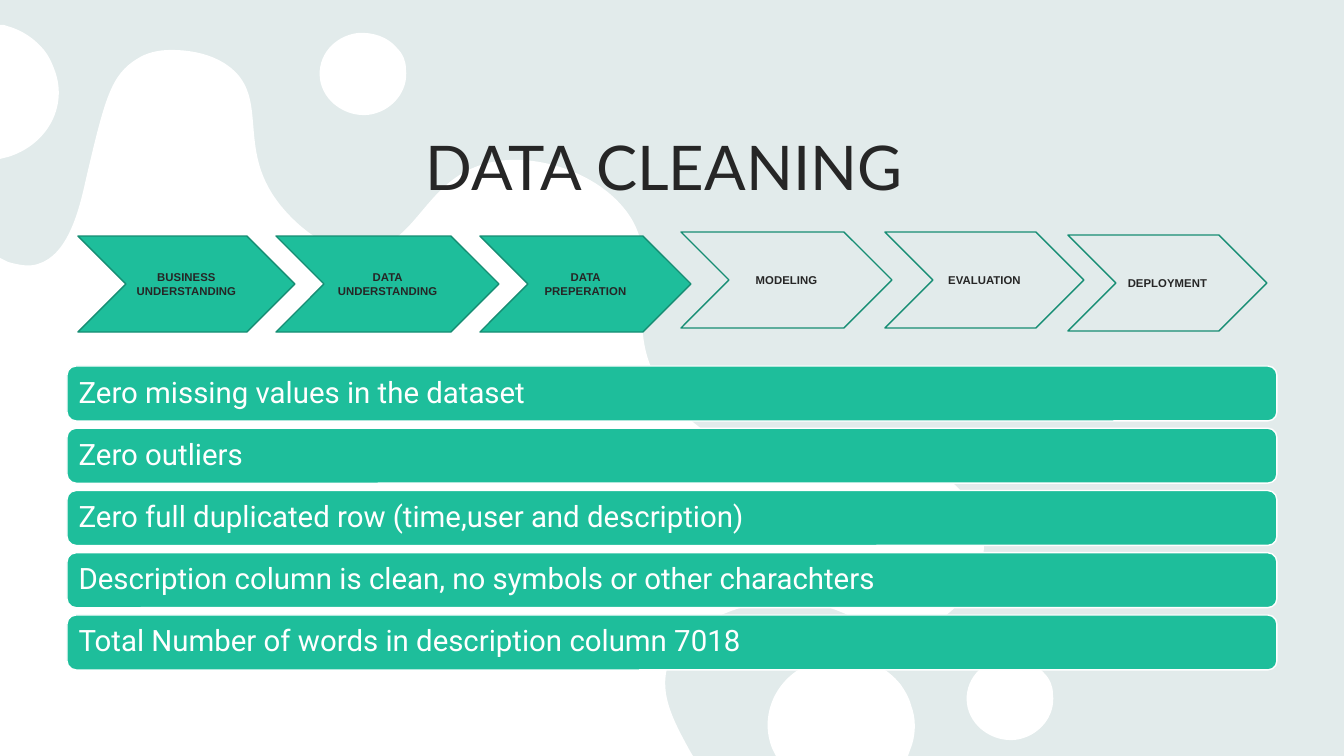
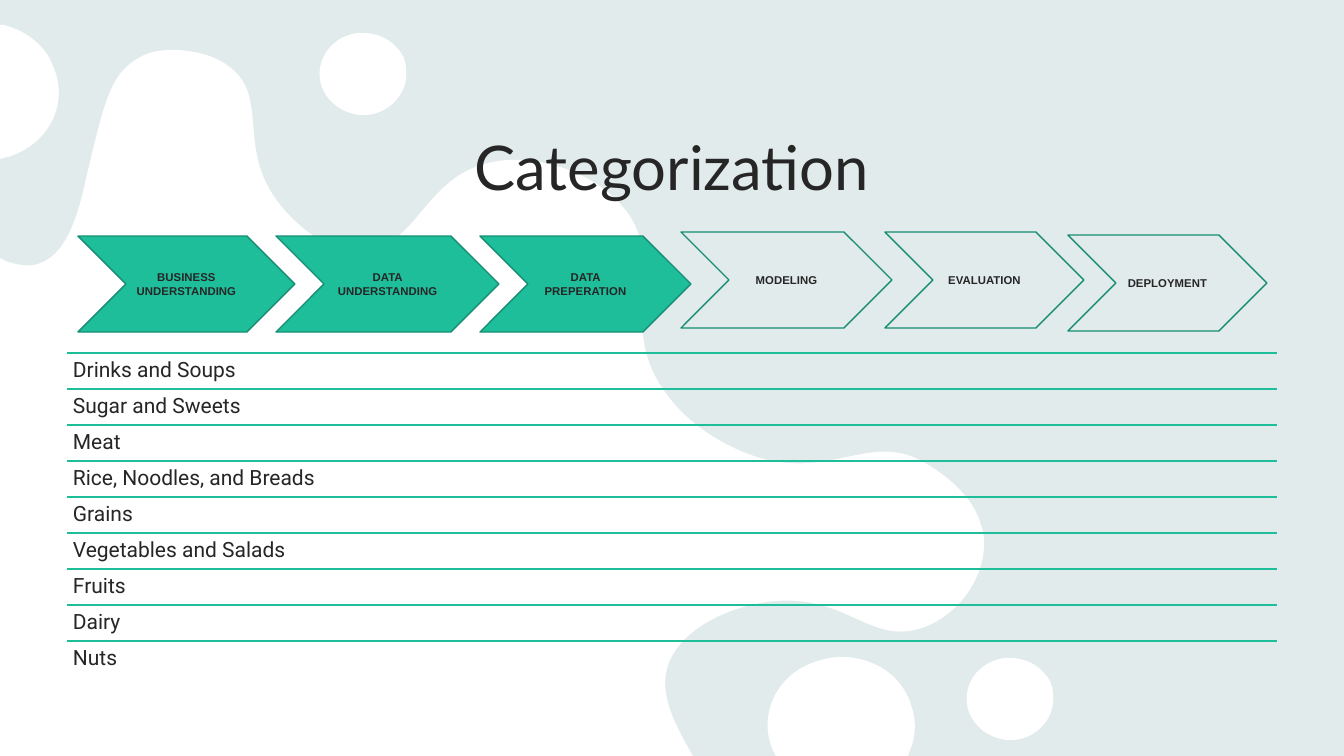
from dataclasses import dataclass
from itertools import chain

from lxml import etree
from pptx import Presentation
from pptx.dml.color import RGBColor
from pptx.enum.shapes import MSO_CONNECTOR, MSO_SHAPE
from pptx.enum.text import MSO_ANCHOR, MSO_AUTO_SIZE, PP_ALIGN
from pptx.oxml.ns import qn
from pptx.util import Pt

CHEVRON, ROUNDED = MSO_SHAPE.CHEVRON, MSO_SHAPE.ROUNDED_RECTANGLE
RECTANGLE, STRAIGHT = MSO_SHAPE.RECTANGLE, MSO_CONNECTOR.STRAIGHT
LEFT, CENTER = PP_ALIGN.LEFT, PP_ALIGN.CENTER
TOP, MIDDLE, BOTTOM = MSO_ANCHOR.TOP, MSO_ANCHOR.MIDDLE, MSO_ANCHOR.BOTTOM
TITLE_ONLY = 5

# Slide size in px and the scale to EMU
WIDTH, HEIGHT = 1344, 756
SCALE = 12192000 / WIDTH


@dataclass(frozen=True)
class Theme:
    backdrop: str = "E9F3F3"
    veil: str = "AEAEAE"
    veil_opacity: int = 10
    white: str = "FFFFFF"
    accent: str = "1EBE9B"
    outline: str = "168D73"
    ink: str = "262626"
    title_font: str = "Lato"
    body_font: str = "Roboto"
    step_font: str = "Arial"
    title_size: float = 44
    bar_size: float = 21
    row_size: float = 15
    step_size: float = 8.1
    line_width: float = 1


THEME = Theme()

# Regions: left, top, width, height
TITLE_BOX = (67, 61, 1210, 147)
STEPS_BOX = (78, 232, 1188, 100)
BARS_BOX = (67, 366, 1210, 304)
ROWS_BOX = (67, 353, 1210, 324)

# Process steps: label, offset in the strip, width, done
STEP_HEIGHT = 96
STEPS = [
    ("BUSINESS UNDERSTANDING", 0, 4, 217, True),
    ("DATA UNDERSTANDING", 198, 4, 223, True),
    ("DATA PREPERATION", 402, 4, 211, True),
    ("MODELING", 603, 0, 211, False),
    ("EVALUATION", 807, 0, 199, False),
    ("DEPLOYMENT", 990, 3, 199, False),
]

FINDINGS = [
    "Zero missing values in the dataset",
    "Zero outliers",
    "Zero full duplicated row (time,user and description)",
    "Description column is clean, no symbols or other charachters",
    "Total Number of words in description column 7018",
]

CATEGORIES = [
    "Drinks and Soups", "Sugar and Sweets", "Meat",
    "Rice, Noodles, and Breads", "Grains", "Vegetables and Salads",
    "Fruits", "Dairy", "Nuts",
]

# Outlines: a start, then segments of one point (line) or three (curve)
WAVE = ((171, 50), [
    ((193, 50), (215, 55), (231, 68)),
    ((269, 99), (237, 148), (278, 202)),
    ((283, 209), (319, 254), (362, 251)),
    ((418, 247), (423, 179), (488, 163)),
    ((533, 152), (593, 171), (623, 207)),
    ((670, 262), (615, 323), (665, 392)),
    ((700, 442), (759, 458), (764, 459)),
    ((834, 477), (873, 432), (925, 463)),
    ((935, 469), (971, 490), (981, 525)),
    ((983, 530), (984, 535), (984, 540)),
    ((986, 579), (956, 618), (919, 629)),
    ((870, 643), (846, 596), (777, 601)),
    ((742, 603), (689, 622), (671, 658)),
    ((656, 689), (673, 720), (690, 751)),
    ((693, HEIGHT),), ((0, HEIGHT),), ((0, 258),), ((8, 262),),
    ((19, 265), (29, 267), (38, 264)),
    ((68, 255), (79, 211), (86, 179)),
    ((105, 98), (111, 75), (137, 59)),
    ((146, 53), (158, 50), (171, 50)),
])
LEFT_DROP = ((0, 25), [
    ((4, 25),), ((7, 26),),
    ((22, 30), (35, 39), (44, 50)),
    ((49, 56), (52, 63), (55, 71)),
    ((68, 107), (47, 145), (8, 157)),
    ((0, 159),),
])
BOTTOM_DROP = ((842, 657), [
    ((865, 657), (887, 667), (901, 685)),
    ((905, 691), (909, 697), (911, 705)),
    ((916, 718), (916, 732), (912, 745)),
    ((908, HEIGHT),), ((776, HEIGHT),), ((772, 748),),
    ((758, 712), (779, 672), (818, 661)),
    ((827, 658), (834, 657), (842, 657)),
])
DROP_CURVES = [
    ((15, -1), (30, 4), (39, 15)),
    ((45, 21), (48, 28), (48, 36)),
    ((51, 58), (34, 79), (10, 82)),
    ((-13, 84), (-35, 68), (-38, 46)),
    ((-41, 23), (-24, 3), (0, 0)),
]
DROP_STARTS = [(1005, 658), (358, 33)]


def px(length):
    return round(length * SCALE)


def emu(*lengths):
    return [px(length) for length in lengths]


def rgb(code):
    return RGBColor.from_string(code)


def put_text(shape, text, *, font, size, color, bold=False, align=LEFT,
             anchor=MIDDLE, inset=(10, 5), spacing=1.0):
    frame = shape.text_frame
    frame.word_wrap = True
    frame.auto_size = MSO_AUTO_SIZE.NONE
    frame.vertical_anchor = anchor
    frame.margin_left = frame.margin_right = px(inset[0])
    frame.margin_top = frame.margin_bottom = px(inset[1])
    paragraph = frame.paragraphs[0]
    paragraph.alignment = align
    paragraph.line_spacing = spacing
    run = paragraph.add_run()
    run.text = text
    run.font.name, run.font.size = font, Pt(size)
    run.font.bold = bold
    run.font.color.rgb = rgb(color)


def paint(shape, fill=None, line=None):
    shape.shadow.inherit = False
    if fill:
        shape.fill.solid()
        shape.fill.fore_color.rgb = rgb(fill)
    else:
        shape.fill.background()
    if line:
        shape.line.color.rgb = rgb(line)
        shape.line.width = Pt(THEME.line_width)
    else:
        shape.line.fill.background()


def add_panel(slide, preset, box, fill=None, line=None):
    panel = slide.shapes.add_shape(preset, *emu(*box))
    paint(panel, fill, line)
    return panel


def drop_at(x, y):
    return (x, y), [tuple((x + dx, y + dy) for dx, dy in curve)
                    for curve in DROP_CURVES]


def bend(outline_shape, segments):
    """Turn each run of three lines that stands for a curve into one."""
    lines = iter(list(outline_shape.element.iter(qn("a:lnTo"))))
    for segment in segments:
        first, *others = [next(lines) for _ in segment]
        if others:
            first.tag = qn("a:cubicBezTo")
            for other in others:
                first.append(other[0])
                other.getparent().remove(other)


def add_waves(slide):
    outlines = [WAVE, LEFT_DROP, BOTTOM_DROP]
    outlines += [drop_at(*start) for start in DROP_STARTS]
    builder = slide.shapes.build_freeform(*emu(*WAVE[0]))
    for start, segments in outlines:
        if start != WAVE[0]:
            builder.move_to(*emu(*start))
        points = chain.from_iterable(segments)
        builder.add_line_segments([emu(*point) for point in points])
    waves = builder.convert_to_shape()
    bend(waves, [segment for _, segments in outlines for segment in segments])
    paint(waves, THEME.white)
    return waves


def add_backdrop(prs, layout, slide):
    """Draw the shared backdrop and move it into the layout."""
    ground = prs.slide_master.background.fill
    ground.solid()
    ground.fore_color.rgb = rgb(THEME.backdrop)
    veil = add_panel(slide, RECTANGLE, (0, 0, WIDTH, HEIGHT), THEME.veil)
    tint = veil.element.spPr.find(qn("a:solidFill"))[0]
    etree.SubElement(tint, qn("a:alpha"), val=str(THEME.veil_opacity * 1000))
    tree = layout.element.cSld.spTree
    for index, part in enumerate([veil, add_waves(slide)]):
        part.element.nvSpPr.cNvPr.id = 98 + index
        tree.insert(2 + index, part.element)


def add_title(slide, box, text):
    title = slide.shapes.title
    title.left, title.top, title.width, title.height = emu(*box)
    put_text(title, text, font=THEME.title_font, size=THEME.title_size,
             color=THEME.ink, align=CENTER, anchor=BOTTOM)


def add_steps(slide, box):
    left, top = box[:2]
    for label, dx, dy, width, done in STEPS:
        step = add_panel(slide, CHEVRON,
                         (left + dx, top + dy, width, STEP_HEIGHT),
                         THEME.accent if done else None, THEME.outline)
        put_text(step, label, font=THEME.step_font, size=THEME.step_size,
                 color=THEME.ink, bold=True, align=CENTER, inset=(4, 5))


def add_bars(slide, box, findings, bar_height=55):
    left, top, width, height = box
    pitch = (height - bar_height) / (len(findings) - 1)
    for index, finding in enumerate(findings):
        bar = add_panel(slide, ROUNDED,
                        (left, top + index * pitch, width, bar_height),
                        THEME.accent, THEME.white)
        put_text(bar, finding, font=THEME.body_font, size=THEME.bar_size,
                 color=THEME.white, inset=(9, 5), spacing=0.9)


def add_rows(slide, box, categories):
    left, top, width, height = box
    pitch = height / len(categories)
    for index, category in enumerate(categories):
        y = top + index * pitch
        rule = slide.shapes.add_connector(
            STRAIGHT, *emu(left, y, left + width, y))
        rule.line.color.rgb = rgb(THEME.accent)
        rule.line.width = Pt(THEME.line_width)
        etree.SubElement(rule.element.spPr, qn("a:effectLst"))
        row = slide.shapes.add_textbox(*emu(left, y, width, pitch))
        put_text(row, category, font=THEME.body_font, size=THEME.row_size,
                 color=THEME.ink, anchor=TOP, inset=(6, 6), spacing=0.9)


def add_process_slide(prs, layout, title, add_content, box, items):
    slide = prs.slides.add_slide(layout)
    add_title(slide, TITLE_BOX, title)
    add_content(slide, box, items)
    add_steps(slide, STEPS_BOX)
    return slide


def main():
    prs = Presentation()
    prs.slide_width, prs.slide_height = emu(WIDTH, HEIGHT)
    layout = prs.slide_layouts[TITLE_ONLY]
    cleaning = add_process_slide(prs, layout, "DATA CLEANING ",
                                 add_bars, BARS_BOX, FINDINGS)
    add_backdrop(prs, layout, cleaning)
    add_process_slide(prs, layout, "Categorization",
                      add_rows, ROWS_BOX, CATEGORIES)
    prs.save("out.pptx")


if __name__ == "__main__":
    main()
